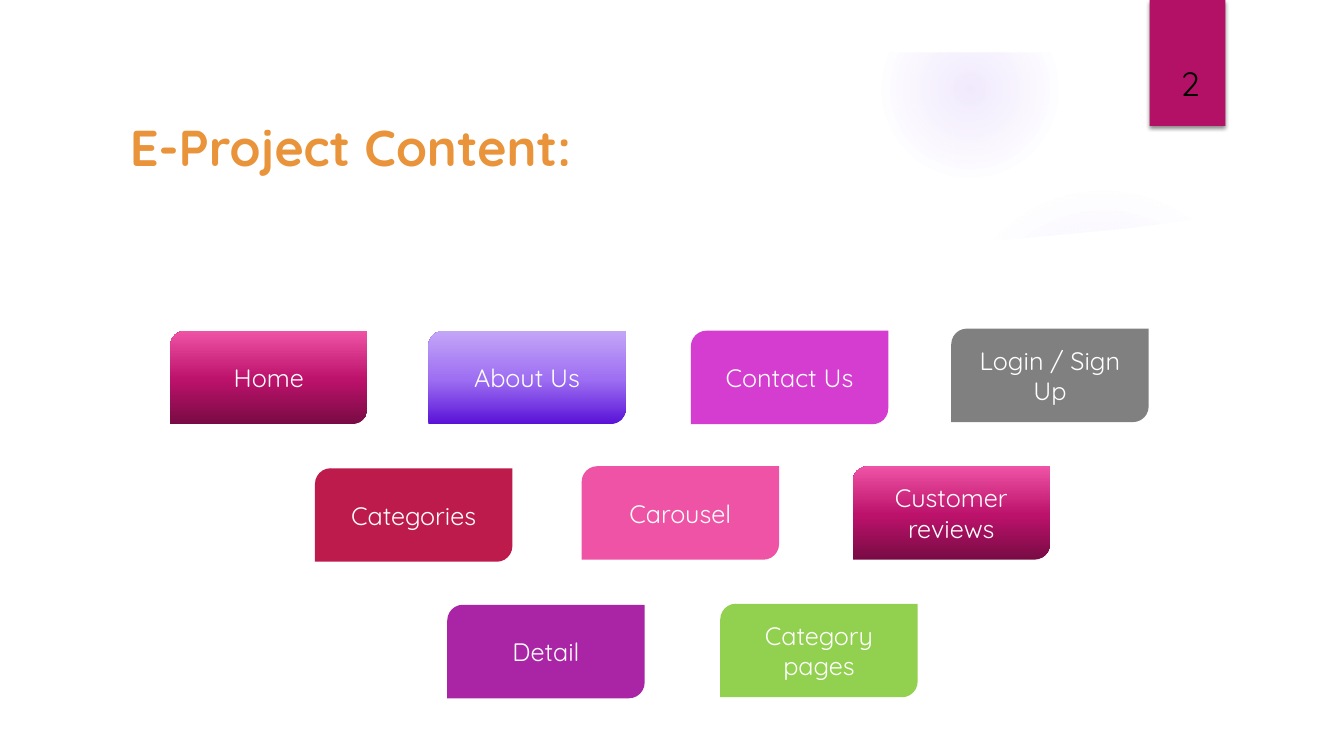
from pptx import Presentation
from pptx.dml.color import RGBColor
from pptx.enum.shapes import MSO_SHAPE as SHAPE
from pptx.enum.text import MSO_ANCHOR as ANCHOR, MSO_AUTO_SIZE as AUTO, PP_ALIGN as ALIGN
from pptx.oxml import parse_xml
from pptx.oxml.ns import nsdecls, qn
from pptx.util import Pt

PX = 9525
FONT = "Quicksand"
LINEAR = '<a:lin ang="16200000" scaled="0"/>'
RADIAL = ('<a:path path="circle"><a:fillToRect l="50000" t="50000" '
          'r="50000" b="50000"/></a:path>')
MAGENTA = [(0, "780B44", 100), (48, "BC126B", 100), (100, "EF53A5", 100)]
VIOLET = [(0, "5913D7", 100), (48, "9E6FF2", 100), (100, "C3A6F7", 100)]
TILE_SIZE = (188, 89)
TILES = [
    ("Home", 162, 315, MAGENTA),
    ("About Us", 408, 315, VIOLET),
    ("Contact Us", 658, 315, "D53DD0"),
    ("Login / Sign Up", 906, 313, "808080"),
    ("Categories", 300, 446, "BD1B4C"),
    ("Carousel", 554, 444, "EF53A5"),
    ("Customer reviews", 812, 444, MAGENTA),
    ("Detail", 426, 576, "A925A5"),
    ("Category pages", 686, 575, "92D050"),
]
WAVE = [(1233, 196), (1179, 204), (1125, 211), (1071, 218), (1018, 223),
        (964, 228), (911, 231), (858, 234), (705, 238), (583, 237),
        (468, 233), (346, 227), (239, 218), (153, 209), (90, 202), (48, 196)]


def px(*lengths):
    return [n * PX for n in lengths]


def color(value):
    return RGBColor.from_string(value)


def paint(sp, fill, shade=LINEAR):
    """Fill with a hex colour or with (position, colour, opacity) stops; no line or shadow."""
    sp.shadow.inherit = False
    sp.line.fill.background()
    if isinstance(fill, str):
        sp.fill.solid()
        sp.fill.fore_color.rgb = color(fill)
        return
    stops = "".join(
        f'<a:gs pos="{pos * 1000}"><a:srgbClr val="{rgb}">'
        f'<a:alpha val="{alpha * 1000}"/></a:srgbClr></a:gs>'
        for pos, rgb, alpha in fill)
    sp.fill.gradient()
    spPr = sp.element.spPr
    spPr.replace(spPr.find(qn("a:gradFill")), parse_xml(
        f'<a:gradFill {nsdecls("a")} rotWithShape="1">'
        f'<a:gsLst>{stops}</a:gsLst>{shade}</a:gradFill>'))


def add_shape(s, kind, box, fill, shade=LINEAR):
    sp = s.shapes.add_shape(kind, *px(*box))
    paint(sp, fill, shade)
    return sp


def write(tf, text, size, rgb, align=ALIGN.LEFT, anchor=ANCHOR.MIDDLE, bold=False):
    tf.text = text
    tf.word_wrap = True
    tf.vertical_anchor = anchor
    p = tf.paragraphs[0]
    p.alignment = align
    font = p.runs[0].font
    font.name, font.size, font.bold = FONT, Pt(size), bold
    font.color.rgb = color(rgb)


def add_backdrop(s, width):
    """Two soft glows, cut off by a white top margin and a wavy white panel."""
    for box, middle, edge in (((903, 176, 296, 296), (7, 6), 69),
                              ((840, 1, 168, 168), (14, 7), 73)):
        stops = [(0, "9B6BF2", middle[0]), (36, "9B6BF2", middle[1]),
                 (edge, "9B6BF2", 0)]
        add_shape(s, SHAPE.OVAL, box, stops, RADIAL)
    add_shape(s, SHAPE.RECTANGLE, (0, 0, width, 50), "FFFFFF")
    builder = s.shapes.build_freeform(*WAVE[0], scale=PX)
    builder.add_line_segments(WAVE[1:] + [(48, 672), (1233, 672)])
    paint(builder.convert_to_shape(), "FFFFFF")


def add_title(s, box, text):
    title = s.shapes.title
    title.left, title.top, title.width, title.height = px(*box)
    write(title.text_frame, text, 36, "E9943A", bold=True)
    title.text_frame.auto_size = AUTO.NONE


def add_page_badge(s, box, number):
    x, y, w, h = box
    badge = add_shape(s, SHAPE.RECTANGLE, box, "B31166")
    badge.element.spPr.find(qn("a:effectLst")).append(parse_xml(
        f'<a:outerShdw {nsdecls("a")} blurRad="38100" dist="25400" dir="5400000" '
        'rotWithShape="0"><a:srgbClr val="000000"><a:alpha val="45000"/>'
        '</a:srgbClr></a:outerShdw>'))
    label = s.shapes.add_textbox(*px(x + 20, y + 55, w - 5, 48))
    write(label.text_frame, number, 24, "000000", anchor=ANCHOR.TOP)


def add_tile(s, box, text, fill):
    tile = add_shape(s, SHAPE.ROUND_2_DIAG_RECTANGLE, box, fill)
    write(tile.text_frame, text, 18, "FFFFFF", ALIGN.CENTER)


def main():
    prs = Presentation()
    prs.slide_width, prs.slide_height = px(1280, 720)
    s = prs.slides.add_slide(prs.slide_layouts[5])
    add_backdrop(s, 1280)
    add_title(s, (114, 102, 920, 74), "E-Project Content:")
    add_page_badge(s, (1095, 0, 72, 120), "2")
    for text, x, y, fill in TILES:
        add_tile(s, (x, y, *TILE_SIZE), text, fill)
    prs.save("out.pptx")


if __name__ == "__main__":
    main()
